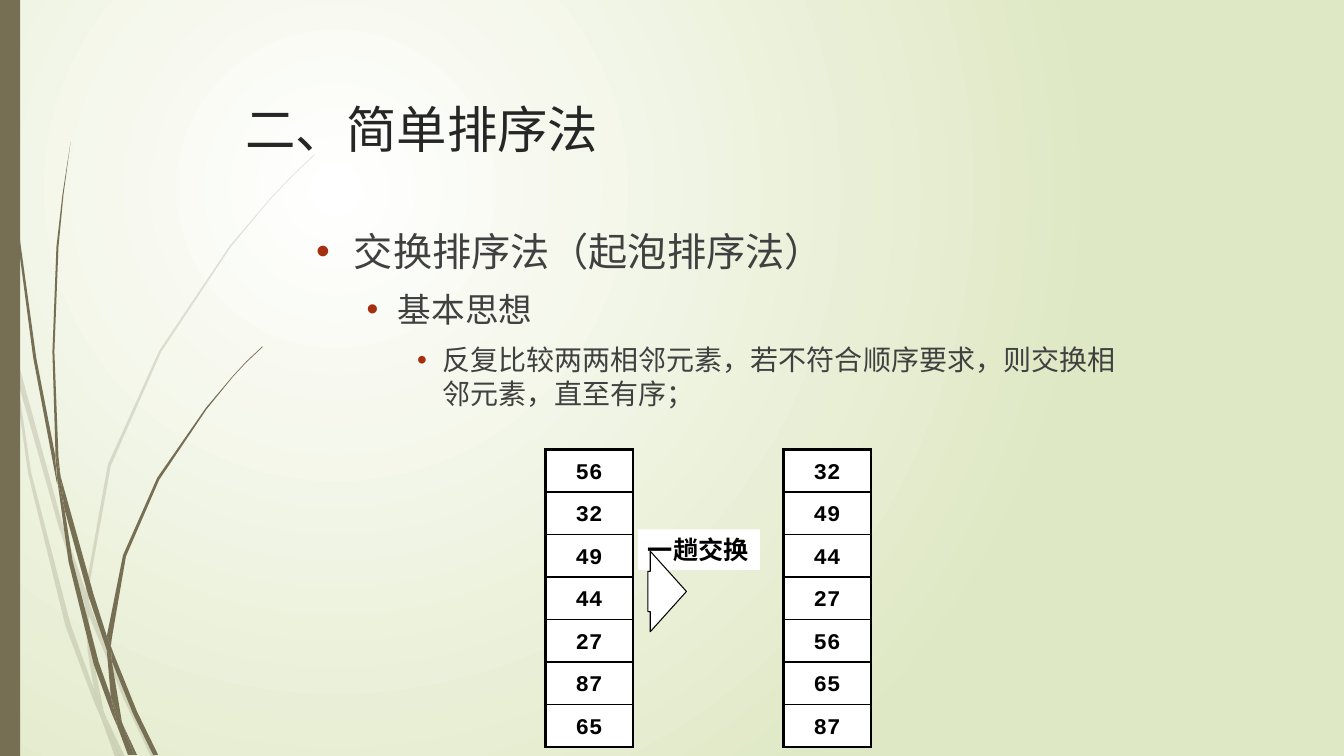
from dataclasses import dataclass

from pptx import Presentation
from pptx.dml.color import RGBColor
from pptx.enum.shapes import MSO_SHAPE
from pptx.enum.text import MSO_ANCHOR, MSO_AUTO_SIZE, PP_ALIGN
from pptx.oxml import parse_xml
from pptx.oxml.ns import nsdecls, qn
from pptx.util import Cm, Pt

RECTANGLE, RIGHT_ARROW = MSO_SHAPE.RECTANGLE, MSO_SHAPE.RIGHT_ARROW
TOP, MIDDLE = MSO_ANCHOR.TOP, MSO_ANCHOR.MIDDLE
CENTER = PP_ALIGN.CENTER
FIT_SHAPE = MSO_AUTO_SIZE.SHAPE_TO_FIT_TEXT


@dataclass(frozen=True)
class Theme:
    stem: str = "766F54"
    bullet: str = "A53010"
    title: str = "262626"
    body: str = "404040"
    ink: str = "000000"
    paper: str = "FFFFFF"
    meadow: str = "DFE8C4"
    text_font: str = "TeX Gyre Adventor"
    figure_font: str = "Courier New"
    title_size: int = 36
    body_sizes: tuple = (28, 24, 20)
    label_size: int = 18
    number_size: int = 16
    thick: float = 2.25
    thin: float = 1
    outline: float = 0.75


# Corners of the blade pieces, x and y in hundredths of an inch.
PALE_BLADES = (
    "11 350 9 322 0 282 0 299 10 344",
    "58 522 84 599 85 586 62 520 14 345 17 376",
    "92 607 88 596 88 610 123 694 150 751 155 751 127 692",
    "119 751 124 751 105 711",
    "93 683 70 619 31 469 17 376 11 350 28 470 65 621 92 693 101 714 99 707",
    "84 599 87 646 93 683 96 692 105 711 103 706 91 646 88 610 88 608",
    "88 584 110 462 160 349 229 245 268 198 290 175 312 154 312 153 289 175 268 197 "
    "228 244 158 348 107 461 85 584 85 586 88 596",
    "101 714 114 751 119 751",
    "88 608 88 610 88 596 85 586 84 599",
    "96 692 93 683 99 707 101 714 119 751 105 711",
)
DARK_BLADES = (
    "7 110 17 233 33 355 56 477 57 481 55 457 55 453 36 355 19 232 8 109 5 48 4 0 3 0 4 48",
    "88 592 106 645 106 633 106 631 93 590 60 472 64 505",
    "113 649 110 641 111 656 132 708 152 749 157 749 136 706",
    "110 691 98 657 72 556 64 505 57 477 68 557 93 659 111 708 117 722 116 717",
    "60 472 58 453 54 349 58 245 63 193 70 141 62 193 56 245 52 349 55 449",
    "133 749 136 749 122 719",
    "57 477 64 505 60 472 55 449 55 453",
    "111 633 125 552 158 476 205 406 231 374 245 359 261 344 260 344 245 358 231 373 "
    "204 405 156 474 122 551 106 631 110 641",
    "117 722 127 749 131 749",
    "106 645 110 691 116 706 122 719 121 716 111 656 109 651",
    "106 645 109 651 111 656 110 641 106 631 106 633",
    "116 706 110 691 116 717 117 722 130 749 133 749 122 719",
)
BLADE_UNIT = Cm(2.54) / 100


class SlideBuilder:
    def __init__(self, slide, theme):
        self.slide, self.theme = slide, theme

    def background(self):
        fill = self.slide.background.fill
        fill.gradient()
        for stop, color in zip(fill.gradient_stops, (self.theme.paper, self.theme.meadow)):
            stop.color.rgb = RGBColor.from_string(color)
        gradient = self.slide.background._cSld.find(".//" + qn("a:gradFill"))
        gradient.replace(gradient.find(qn("a:lin")), parse_xml(
            f'<a:path {nsdecls("a")} path="circle">'
            '<a:fillToRect l="50000" t="50000" r="100000" b="100000"/></a:path>'))

    def paint(self, shape, color, line=None):
        shape.shadow.inherit = False
        shape.fill.solid()
        shape.fill.fore_color.rgb = RGBColor.from_string(color)
        if line:
            shape.line.color.rgb = RGBColor.from_string(line)
            shape.line.width = Pt(self.theme.outline)
        else:
            shape.line.fill.background()

    def blades(self, outlines, opacity=100):
        group = self.slide.shapes.add_group_shape()
        for outline in outlines:
            values = [int(value) for value in outline.split()]
            start, *rest = zip(values[::2], values[1::2])
            builder = group.shapes.build_freeform(*start, scale=BLADE_UNIT)
            builder.add_line_segments(rest, close=True)
            blade = builder.convert_to_shape()
            self.paint(blade, self.theme.stem)
            if opacity < 100:
                color = blade._element.spPr.find(qn("a:solidFill"))[0]
                color.append(parse_xml(f'<a:alpha {nsdecls("a")} val="{opacity * 1000}"/>'))

    def preset(self, kind, box, color, line=None, adjustments=()):
        shape = self.slide.shapes.add_shape(kind, *map(Cm, box))
        self.paint(shape, color, line)
        for i, value in enumerate(adjustments):
            shape.adjustments[i] = value

    def style(self, paragraph, size, color, font, bold=False):
        paragraph.font.size = Pt(size)
        paragraph.font.name = font
        paragraph.font.bold = bold
        paragraph.font.color.rgb = RGBColor.from_string(color)

    def text(self, box, words):
        shape = self.slide.shapes.add_textbox(*map(Cm, box))
        frame = shape.text_frame
        frame.word_wrap, frame.vertical_anchor = True, TOP
        frame.text = words
        return shape

    def title(self, box, words):
        paragraph = self.text(box, words).text_frame.paragraphs[0]
        self.style(paragraph, self.theme.title_size, self.theme.title, self.theme.text_font)

    def outline_list(self, box, items, indents):
        paragraphs = self.text(box, "\n".join(items)).text_frame.paragraphs
        for level, (paragraph, (left, hanging)) in enumerate(zip(paragraphs, indents)):
            paragraph.level = level
            if level:
                paragraph.space_before = Pt(10)
            properties = paragraph._p.get_or_add_pPr()
            properties.set("marL", str(Cm(left)))
            properties.set("indent", str(-Cm(hanging)))
            for bullet in (f'buClr {nsdecls("a")}><a:srgbClr val="{self.theme.bullet}"/></a:buClr>',
                           f'buFont {nsdecls("a")} typeface="Arial"/>',
                           f'buChar {nsdecls("a")} char="•"/>'):
                properties.append(parse_xml("<a:" + bullet))
            self.style(paragraph, self.theme.body_sizes[level], self.theme.body, self.theme.text_font)

    def label(self, box, words):
        shape = self.text(box, words)
        self.paint(shape, self.theme.paper)
        shape.text_frame.word_wrap = False
        shape.text_frame.auto_size = FIT_SHAPE
        self.style(shape.text_frame.paragraphs[0], self.theme.label_size, self.theme.ink,
                   self.theme.figure_font, bold=True)

    def number_column(self, left, top, width, row_height, numbers):
        count, theme = len(numbers), self.theme
        table = self.slide.shapes.add_table(
            count, 1, Cm(left), Cm(top), Cm(width), Cm(row_height * count)).table
        table.first_row = table.horz_banding = False
        for row, number in enumerate(numbers):
            cell = table.cell(row, 0)
            cell.text, cell.vertical_anchor = str(number), MIDDLE
            cell.fill.solid()
            cell.fill.fore_color.rgb = RGBColor.from_string(theme.paper)
            paragraph = cell.text_frame.paragraphs[0]
            paragraph.alignment, paragraph.line_spacing = CENTER, 1.2
            self.style(paragraph, theme.number_size, theme.ink, theme.figure_font, bold=True)
            borders = {"L": theme.thick, "R": theme.thick,
                       "T": theme.thin if row else theme.thick,
                       "B": theme.thin if row < count - 1 else theme.thick}
            for i, (side, points) in enumerate(borders.items()):
                cell._tc.tcPr.insert(i, parse_xml(
                    f'<a:ln{side} {nsdecls("a")} w="{Pt(points)}"><a:solidFill>'
                    f'<a:srgbClr val="{theme.ink}"/></a:solidFill></a:ln{side}>'))


def main():
    deck = Presentation()
    deck.slide_width, deck.slide_height = Cm(33.87), Cm(19.05)
    theme = Theme()
    page = SlideBuilder(deck.slides.add_slide(deck.slide_layouts[6]), theme)
    page.background()
    page.blades(PALE_BLADES, opacity=20)
    page.blades(DARK_BLADES)
    page.preset(RECTANGLE, (0, 0, 0.51, 19.05), theme.stem)
    page.title((5.94, 2.34, 27.2, 2.34), "二、简单排序法")
    page.outline_list(
        (7.72, 5.61, 21.16, 5.51),
        ("交换排序法（起泡排序法）", "基本思想",
         "反复比较两两相邻元素，若不符合顺序要求，则交换相邻元素，直至有序；"),
        ((0.95, 0.95), (2.06, 0.79), (3.18, 0.64)))
    for left, numbers in ((13.74, (56, 32, 49, 44, 27, 87, 65)),
                          (19.74, (32, 49, 44, 27, 56, 65, 87))):
        page.number_column(left, 11.33, 2.21, 1.07, numbers)
    page.label((16.08, 13.34, 3.07, 1.02), "一趟交换")
    page.preset(RIGHT_ARROW, (16.33, 13.89, 0.97, 2.03), theme.paper, theme.ink, (0.5, 0.94))
    deck.save("out.pptx")


if __name__ == "__main__":
    main()
